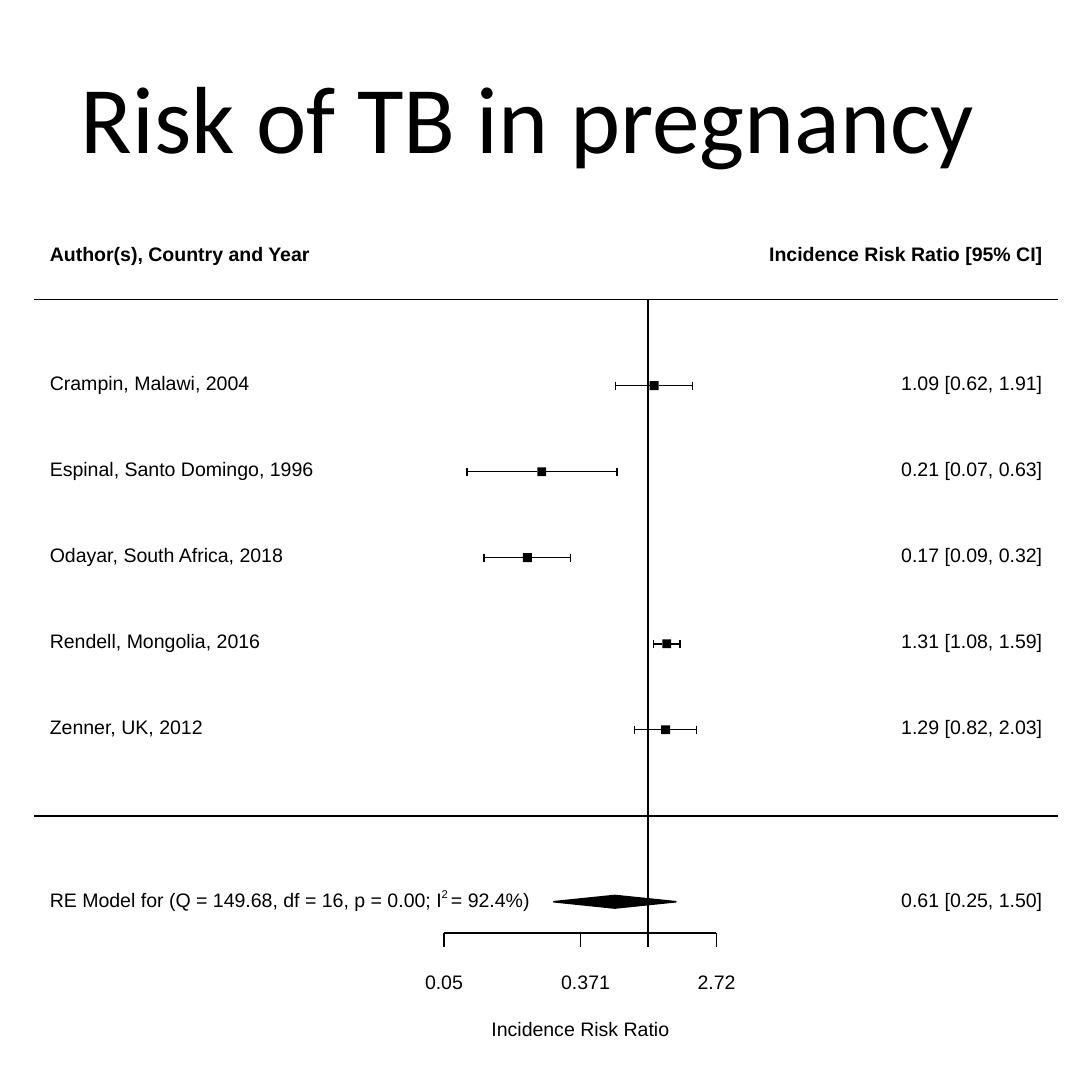
"""Forest plot slide: risk of TB in pregnancy."""
from math import log

from lxml.etree import SubElement
from pptx import Presentation
from pptx.dml.color import RGBColor
from pptx.enum.shapes import MSO_CONNECTOR, MSO_SHAPE
from pptx.enum.text import MSO_ANCHOR, PP_ALIGN
from pptx.oxml.ns import qn
from pptx.util import Pt

TITLE = "Risk of TB in pregnancy"
HEADS = ("Author(s), Country and Year", "Incidence Risk Ratio [95% CI]")
TRIALS = [
    ("Crampin, Malawi, 2004", (1.09, 0.62, 1.91)),
    ("Espinal, Santo Domingo, 1996", (0.21, 0.07, 0.63)),
    ("Odayar, South Africa, 2018", (0.17, 0.09, 0.32)),
    ("Rendell, Mongolia, 2016", (1.31, 1.08, 1.59)),
    ("Zenner, UK, 2012", (1.29, 0.82, 2.03)),
]
MODEL = ("RE Model for (Q = 149.68, df = 16, p = 0.00; I", "2 ", "= 92.4%)")
POOLED = (0.61, 0.25, 1.50)
TICKS = [(0.05, "0.05", 0), (0.371, "0.371", 2.3), (1, "", 0), (2.72, "2.72", 0)]
AXIS = "Incidence Risk Ratio"

COLORS = {"ink": "000000"}
INK = RGBColor.from_string(COLORS["ink"])
THIN = Pt(0.75)
SIZE = 504
EDGE, LEFT, RIGHT = 15.7, 23, 481
TOP, STEP = 138.3, 39.7
ONE, UNIT = 299.2, 31.48
HEAD_Y, BASE, TICK_Y, AXIS_Y = 117.2, 430.6, 453.2, 475
TICK, CAP = 6.7, 1.9
SIDE, GEM = 4.1, 5.8
WIDE, HIGH, LIFT = 228, 12, 1.2
SHIFTS = {PP_ALIGN.LEFT: 0, PP_ALIGN.CENTER: WIDE / 2, PP_ALIGN.RIGHT: WIDE}

deck = Presentation()
deck.slide_width = deck.slide_height = Pt(SIZE)
shapes = deck.slides.add_slide(deck.slide_layouts[6]).shapes


def place(ratio):
    """Return the x of a ratio on the log scale."""
    return ONE + UNIT * log(ratio)


def level(row):
    """Return the y of a grid row."""
    return TOP + STEP * row


def line(x1, y1, x2, y2):
    """Draw a thin line."""
    rule = shapes.add_connector(
        MSO_CONNECTOR.STRAIGHT, Pt(x1), Pt(y1), Pt(x2), Pt(y2))
    rule.line.color.rgb = INK
    rule.line.width = THIN
    SubElement(rule._element.spPr, qn("a:effectLst"))
    return rule


def solid(kind, left, y, width, height):
    """Draw a filled shape centred on y."""
    shape = shapes.add_shape(
        kind, Pt(left), Pt(y - height / 2), Pt(width), Pt(height))
    shape.shadow.inherit = False
    shape.fill.solid()
    shape.fill.fore_color.rgb = INK
    return shape


def style(run, name, size, bold=False):
    """Set the font of a run."""
    font = run.font
    font.name, font.size, font.bold = name, Pt(size), bold
    font.color.rgb = INK


def label(x, y, parts, align=PP_ALIGN.LEFT, bold=False):
    """Write text aligned at x and centred on y; every second part is raised."""
    box = shapes.add_textbox(
        Pt(x - SHIFTS[align]), Pt(y - HIGH / 2), Pt(WIDE), Pt(HIGH))
    frame = box.text_frame
    frame.word_wrap = True
    frame.vertical_anchor = MSO_ANCHOR.MIDDLE
    frame.margin_left = frame.margin_right = 0
    frame.margin_top = frame.margin_bottom = 0
    frame.text = parts[0]
    para = frame.paragraphs[0]
    para.alignment = align
    for part in parts[1:]:
        para.add_run().text = part
    for run in para.runs:
        style(run, "Arial", 9, bold)
    for run in para.runs[1::2]:
        run.font._element.set("baseline", "42000")


def entry(row, parts, values):
    """Write the name and the ratio of one row."""
    y = level(row) - LIFT
    label(LEFT, y, parts)
    label(RIGHT, y, ["{:.2f} [{:.2f}, {:.2f}]".format(*values)], PP_ALIGN.RIGHT)


def trial(row, values):
    """Draw the square and the whiskers of one trial."""
    mid, low, high = map(place, values)
    y = level(row)
    box = solid(MSO_SHAPE.RECTANGLE, mid - SIDE / 2, y, SIDE, SIDE)
    box.line.fill.background()
    for tip, side in ((low, 1), (high, 3)):
        line(mid, y, tip, y).begin_connect(box, side)
        line(tip, y - CAP, tip, y + CAP)


def pool(row, values):
    """Draw the diamond of the pooled ratio."""
    mid, low, high = map(place, values)
    gem = solid(MSO_SHAPE.DIAMOND, low, level(row), high - low, GEM)
    gem.line.color.rgb = INK
    gem.line.width = THIN


def title():
    """Write the slide title."""
    frame = shapes.add_textbox(Pt(30.2), Pt(28.8), Pt(452), Pt(55.4)).text_frame
    frame.word_wrap = True
    frame.vertical_anchor = MSO_ANCHOR.MIDDLE
    frame.text = TITLE
    para = frame.paragraphs[0]
    para.line_spacing = 0.9
    style(para.runs[0], "Calibri", 44)


def scale():
    """Draw the axis with its ticks and title."""
    line(place(TICKS[0][0]), BASE, place(TICKS[-1][0]), BASE)
    for ratio, text, shift in TICKS:
        x = place(ratio)
        line(x, BASE, x, BASE + TICK)
        if text:
            label(x + shift, TICK_Y, [text], PP_ALIGN.CENTER)
    label((place(TICKS[0][0]) + place(TICKS[-1][0])) / 2, AXIS_Y,
          [AXIS], PP_ALIGN.CENTER)


def main():
    """Build the slide and save it."""
    title()
    for x, text, align in zip((LEFT, RIGHT), HEADS, (PP_ALIGN.LEFT, PP_ALIGN.RIGHT)):
        label(x, HEAD_Y, [text], align, True)

    foot = len(TRIALS) + 1
    for row in (0, foot):
        line(EDGE, level(row), SIZE - EDGE, level(row))
    line(ONE, TOP, ONE, BASE)

    for row, (name, values) in enumerate(TRIALS, 1):
        trial(row, values)
        entry(row, [name], values)
    pool(foot + 1, POOLED)
    entry(foot + 1, MODEL, POOLED)

    scale()
    deck.save("out.pptx")


if __name__ == "__main__":
    main()
